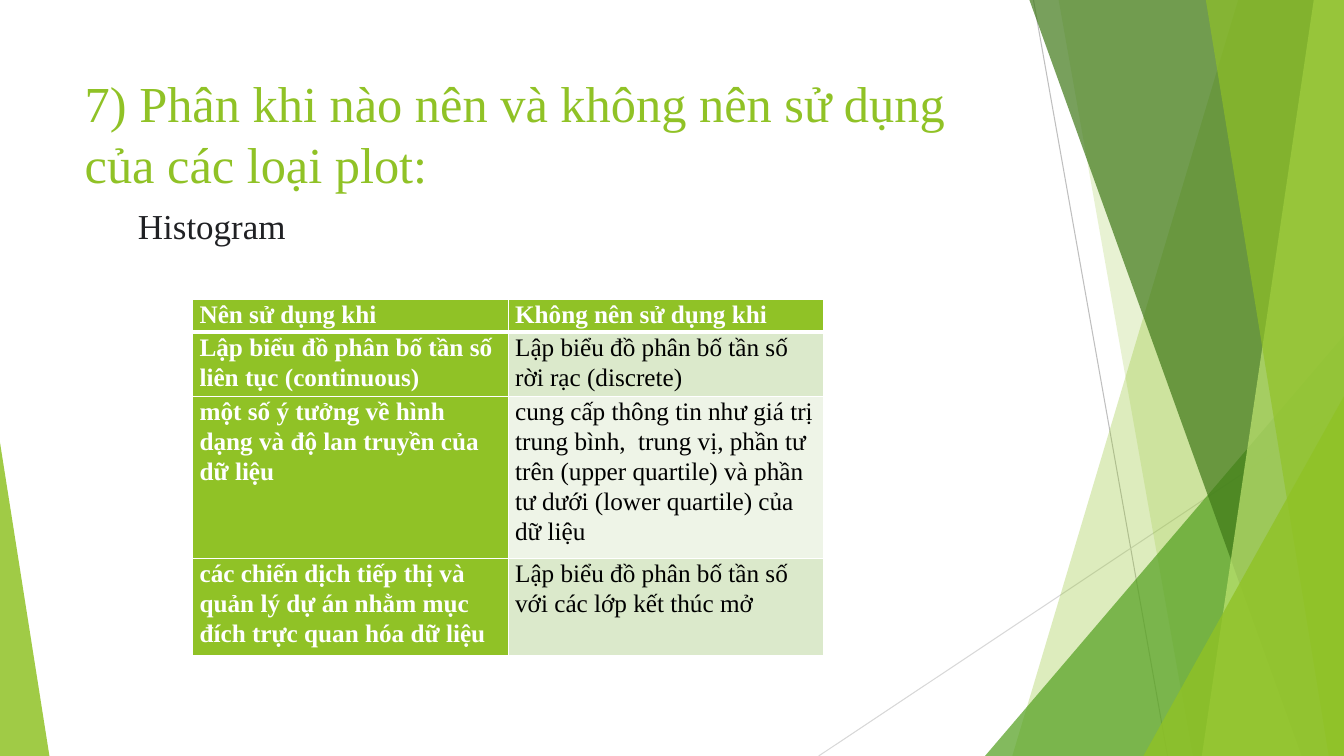
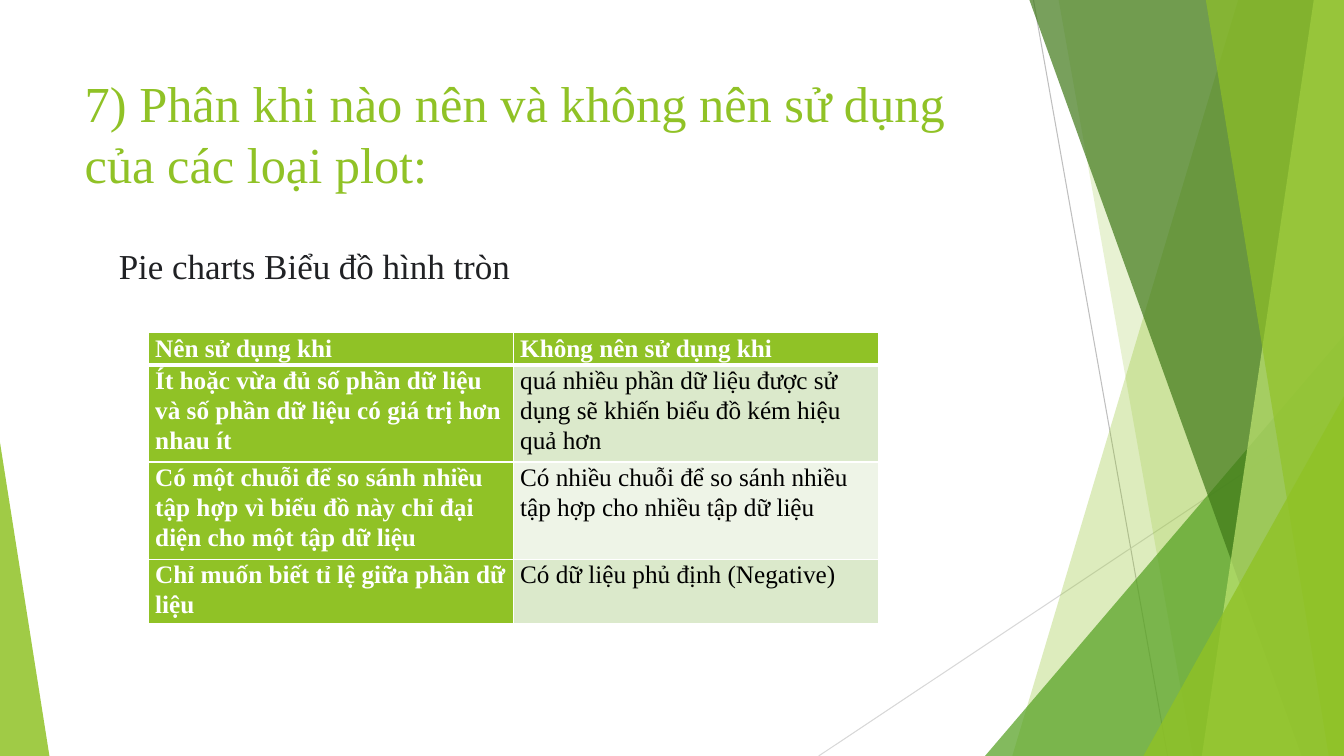
import pptx
import pptx.dml.color
import pptx.enum.shapes
import pptx.enum.text
import pptx.oxml
import pptx.oxml.ns
import pptx.util
from pptx.util import Inches

WIDTH, HEIGHT = 13.33, 7.5
TITLE_ONLY = 5
LINE_HEIGHT = 0.32

GREEN, DARK_GREEN, MID_GREEN, LIME = "90C226", "3F7818", "54A021", "BFE471"
WHITE, BLACK, INK = "FFFFFF", "000000", "202124"
BANDS = ["DBE9CB", "EEF4E7"]

TITLE = "7) Phân khi nào nên và không nên sử dụng của các loại plot:"
HEADINGS = ("Nên sử dụng khi", "Không nên sử dụng khi")


def color(hex_string):
    return pptx.dml.color.RGBColor.from_string(hex_string)


def set_all(target, values):
    for name, value in values.items():
        setattr(target, name, value)


class Deck:
    """Holds the shared style and the slide being filled."""

    font_name = "Times New Roman"
    text_margins = {"margin_left": Inches(0.1), "margin_right": Inches(0.1),
                    "margin_top": Inches(0.05), "margin_bottom": Inches(0.05)}
    cell_margins = {"margin_left": Inches(0.07), "margin_right": Inches(0.07),
                    "margin_top": 0, "margin_bottom": 0}

    def __init__(self):
        self.presentation = pptx.Presentation()
        set_all(self.presentation, {"slide_width": Inches(WIDTH), "slide_height": Inches(HEIGHT)})
        self.layout = self.presentation.slide_layouts[TITLE_ONLY]
        set_all(self.layout.placeholders[0], {
            "left": Inches(0.74), "top": Inches(0.67),
            "width": Inches(9.4), "height": Inches(1.44)})
        self.slide = None

    def add_slide(self, title):
        self.slide = self.presentation.slides.add_slide(self.layout)
        frame = self.slide.shapes.title.text_frame
        set_all(frame, {**self.text_margins, "word_wrap": True,
                        "auto_size": pptx.enum.text.MSO_AUTO_SIZE.NONE,
                        "vertical_anchor": pptx.enum.text.MSO_ANCHOR.TOP})
        self.add_text(frame, title, 36, GREEN)

    def add_text(self, frame, text, size, text_color, bold=False):
        paragraph = frame.paragraphs[0]
        paragraph.alignment = pptx.enum.text.PP_ALIGN.LEFT
        run = paragraph.add_run()
        run.text = text
        set_all(run.font, {"name": self.font_name, "size": pptx.util.Pt(size), "bold": bold})
        run.font.color.rgb = color(text_color)
        return paragraph

    def line(self, start, end, line_color):
        connector = self.slide.shapes.add_connector(
            pptx.enum.shapes.MSO_CONNECTOR.STRAIGHT, *map(Inches, start + end))
        connector.line.color.rgb = color(line_color)
        connector.line.width = pptx.util.Pt(0.75)
        properties = connector.element.find(pptx.oxml.ns.qn("p:spPr"))
        properties.append(pptx.oxml.parse_xml(
            f"<a:effectLst {pptx.oxml.ns.nsdecls('a')}/>"))

    def paint(self, shape, fill_color, opacity):
        """Give the shape a translucent fill without outline or shadow."""
        shape.shadow.inherit = False
        shape.fill.solid()
        shape.fill.fore_color.rgb = color(fill_color)
        shape.line.fill.background()
        fill = next(shape.element.iter(pptx.oxml.ns.qn("a:srgbClr")))
        fill.append(pptx.oxml.parse_xml(
            f"<a:alpha {pptx.oxml.ns.nsdecls('a')} val='{opacity * 1000}'/>"))

    def band(self, top_left, bottom_left, fill_color, opacity):
        """Fill from a slanted edge to the right side of the slide."""
        builder = self.slide.shapes.build_freeform(Inches(top_left), 0)
        corners = [(WIDTH, 0), (WIDTH, HEIGHT), (bottom_left, HEIGHT)]
        builder.add_line_segments([tuple(map(Inches, corner)) for corner in corners])
        self.paint(builder.convert_to_shape(), fill_color, opacity)

    def triangle(self, left, top, width, apex, fill_color, opacity):
        """Stand a triangle on the bottom edge of the slide."""
        shape = self.slide.shapes.add_shape(
            pptx.enum.shapes.MSO_SHAPE.ISOSCELES_TRIANGLE,
            *map(Inches, (left, top, width, HEIGHT - top)))
        shape.adjustments[0] = apex
        self.paint(shape, fill_color, opacity)

    def decorate_layout(self):
        """Draw the facets on the current slide, then move them to its layout."""
        existing = len(self.slide.shapes)
        self.line((10.25, 0), (11.58, HEIGHT), "BFBFBF")
        self.line((WIDTH, 4.03), (8.12, HEIGHT), "D8D8D8")
        self.band(12.28, 10.04, GREEN, 30)
        self.band(10.5, 11.83, GREEN, 20)
        self.triangle(9.77, 3.33, 3.56, 1, MID_GREEN, 72)
        self.band(10.21, 12.91, DARK_GREEN, 70)
        self.band(13.03, 11.92, LIME, 70)
        self.band(11.96, 13.18, GREEN, 65)
        self.triangle(11.34, 3.93, 1.99, 1, GREEN, 80)
        self.triangle(0, 4.39, 0.49, 0, GREEN, 85)
        for shape in list(self.slide.shapes)[existing:]:
            self.layout.shapes.element.append(shape.element)

    def label(self, left, top, width, text):
        box = self.slide.shapes.add_textbox(*map(Inches, (left, top, width, 0.52)))
        set_all(box.text_frame, {**self.text_margins, "word_wrap": True,
                                 "auto_size": pptx.enum.text.MSO_AUTO_SIZE.SHAPE_TO_FIT_TEXT})
        self.add_text(box.text_frame, text, 25, INK)

    def borders(self, table_shape):
        """Draw white cell borders, with a heavy rule below the header."""
        rows = table_shape.element.iter(pptx.oxml.ns.qn("a:tr"))
        for row, row_element in enumerate(rows):
            widths = {"L": 1, "R": 1, "T": 3 if row == 1 else 1, "B": 3 if row == 0 else 1}
            for properties in row_element.iter(pptx.oxml.ns.qn("a:tcPr")):
                for index, (side, width) in enumerate(widths.items()):
                    properties.insert(index, pptx.oxml.parse_xml(
                        f"<a:ln{side} {pptx.oxml.ns.nsdecls('a')} w='{pptx.util.Pt(width)}'>"
                        f"<a:solidFill><a:srgbClr val='{WHITE}'/></a:solidFill></a:ln{side}>"))

    def table(self, left, top, column_width, rows, line_counts):
        """Add a two-column table whose row heights follow their line counts."""
        table_shape = self.slide.shapes.add_table(
            len(rows), 2, *map(Inches, (left, top, 2 * column_width,
                                        LINE_HEIGHT * sum(line_counts))))
        table = table_shape.table
        for column in table.columns:
            column.width = Inches(column_width)
        for row, (texts, lines) in enumerate(zip(rows, line_counts)):
            table.rows[row].height = Inches(LINE_HEIGHT * lines)
            for column, text in enumerate(texts):
                cell = table.cell(row, column)
                strong = row == 0 or column == 0
                set_all(cell, self.cell_margins)
                cell.fill.solid()
                cell.fill.fore_color.rgb = color(GREEN if strong else BANDS[(row - 1) % 2])
                paragraph = self.add_text(cell.text_frame, text, 18,
                                          WHITE if strong else BLACK, strong)
                paragraph.line_spacing = 1.07
        self.borders(table_shape)


def main():
    deck = Deck()

    deck.add_slide(TITLE)
    deck.decorate_layout()
    deck.label(1.27, 1.98, 1.69, "Histogram")
    deck.table(1.91, 2.97, 3.13, [
        HEADINGS,
        ("Lập biểu đồ phân bố tần số liên tục (continuous)",
         "Lập biểu đồ phân bố tần số rời rạc (discrete)"),
        ("một số ý tưởng về hình dạng và độ lan truyền của dữ liệu",
         "cung cấp thông tin như giá trị trung bình,  trung vị, phần tư trên "
         "(upper quartile) và phần tư dưới (lower quartile) của dữ liệu"),
        ("các chiến dịch tiếp thị và quản lý dự án nhằm mục đích trực quan hóa dữ liệu",
         "Lập biểu đồ phân bố tần số với các lớp kết thúc mở"),
    ], (1, 2, 5, 3))

    deck.add_slide(TITLE)
    deck.label(1.08, 2.38, 4.22, "Pie charts Biểu đồ hình tròn")
    deck.table(1.47, 3.3, 3.62, [
        HEADINGS,
        ("Ít hoặc vừa đủ số phần dữ liệu và số phần dữ liệu có giá trị hơn nhau ít",
         "quá nhiều phần dữ liệu được sử dụng sẽ khiến biểu đồ kém hiệu quả hơn"),
        ("Có một chuỗi để so sánh nhiều tập hợp vì biểu đồ này chỉ đại diện cho một tập dữ liệu",
         "Có nhiều chuỗi để so sánh nhiều tập hợp cho nhiều tập dữ liệu"),
        ("Chỉ muốn biết tỉ lệ giữa phần dữ liệu", "Có dữ liệu phủ định (Negative)"),
    ], (1, 3, 3, 2))

    deck.presentation.save("out.pptx")


if __name__ == "__main__":
    main()
